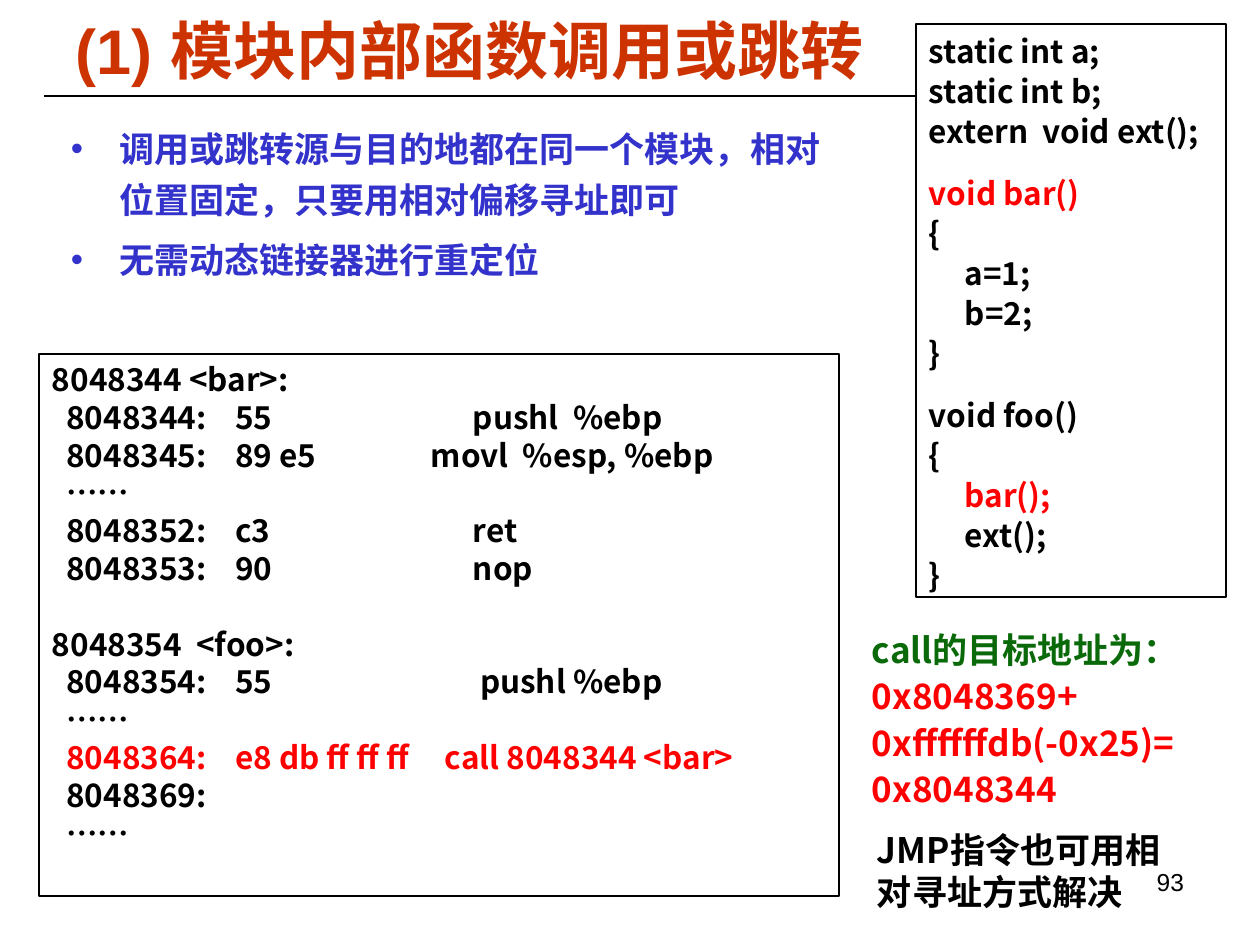
from lxml import etree
from pptx import Presentation
from pptx.dml.color import RGBColor
from pptx.enum.shapes import MSO_CONNECTOR, MSO_SHAPE
from pptx.enum.text import MSO_ANCHOR, MSO_AUTO_SIZE, PP_ALIGN
from pptx.oxml.ns import qn
from pptx.util import Pt

PX = 914400 / 126
BLACK = RGBColor(0x00, 0x00, 0x00)
WHITE = RGBColor(0xFF, 0xFF, 0xFF)
RED = RGBColor(0xFF, 0x00, 0x00)
GREEN = RGBColor(0x0A, 0x6A, 0x0A)
BLUE = RGBColor(0x33, 0x33, 0xCC)
ORANGE = RGBColor(0xCC, 0x33, 0x00)
SANS = "Noto Sans CJK SC"
LEFT, RIGHT = PP_ALIGN.LEFT, PP_ALIGN.RIGHT
TOP, MIDDLE = MSO_ANCHOR.TOP, MSO_ANCHOR.MIDDLE
NO_FIT = MSO_AUTO_SIZE.NONE
STRAIGHT = MSO_CONNECTOR.STRAIGHT
RECTANGLE = MSO_SHAPE.RECTANGLE

BULLETS = [
    "调用或跳转源与目的地都在同一个模块，相对位置固定，只要用相对偏移寻址即可",
    "无需动态链接器进行重定位",
]
SOURCE_CODE = [
    ["static int a;", "static int b;", "extern  void ext();"],
    ["void bar()", "{", "     a=1;", "     b=2;", "}"],
    ["void foo()", "{", "     bar();", "     ext();", "}"],
]
DISASSEMBLY = [
    [
        "8048344 <bar>:",
        "  8048344:    55\t    \t      pushl  %ebp",
        "  8048345:    89 e5                movl  %esp, %ebp",
        "  ……",
        "  8048352:    c3\t\t      ret",
        "  8048353:    90\t\t      nop",
    ],
    [
        "8048354  <foo>:",
        "  8048354:    55\t\t       pushl %ebp",
        "  ……",
        "  8048364:    e8 db ff ff ff     call 8048344 <bar>",
        "  8048369:",
        "  ……",
    ],
]
RED_LINES = {"void bar()", "     bar();", "  8048364:    e8 db ff ff ff     call 8048344 <bar>"}
TARGET = [
    ("call的目标地址为：", GREEN),
    ("0x8048369+", RED),
    ("0xffffffdb(-0x25)=", RED),
    ("0x8048344", RED),
]


def emu(*lengths):
    return [round(length * PX) for length in lengths]


def place(shape, box):
    for name, value in zip(("left", "top", "width", "height"), emu(*box)):
        setattr(shape, name, value)


def prepare_frame(shape, anchor=TOP):
    frame = shape.text_frame
    settings = {
        "word_wrap": True, "auto_size": NO_FIT, "vertical_anchor": anchor,
        "margin_left": emu(13)[0], "margin_right": emu(13)[0],
        "margin_top": emu(6)[0], "margin_bottom": emu(6)[0],
    }
    for name, value in settings.items():
        setattr(frame, name, value)
    return frame


def add_tabs(paragraph):
    tab_list = etree.SubElement(paragraph._p.get_or_add_pPr(), qn("a:tabLst"))
    for inch in range(1, 8):
        etree.SubElement(tab_list, qn("a:tab"), pos=str(inch * 914400), algn="l")


def add_bullet(paragraph, colour):
    properties = paragraph._p.get_or_add_pPr()
    indent = emu(48)[0]
    properties.set("marL", str(indent))
    properties.set("indent", str(-indent))
    bullet_colour = etree.SubElement(properties, qn("a:buClr"))
    etree.SubElement(bullet_colour, qn("a:srgbClr"), val=str(colour))
    etree.SubElement(properties, qn("a:buChar"), char="•")


def write_lines(frame, lines, size, spacing=None, name=SANS, bold=True, align=LEFT,
                decorate=None):
    for index, (text, colour, before) in enumerate(lines):
        paragraph = frame.paragraphs[0] if index == 0 else frame.add_paragraph()
        if decorate:
            decorate(paragraph)
        layout = {"alignment": align, "space_before": Pt(before if index else 0),
                  "line_spacing": Pt(spacing) if spacing else 1.0}
        for key, value in layout.items():
            setattr(paragraph, key, value)
        run = paragraph.add_run()
        run.text = text
        for key, value in {"size": Pt(size), "bold": bold, "name": name}.items():
            setattr(run.font, key, value)
        run.font.color.rgb = colour
        latin = run._r.rPr.find(qn("a:latin"))
        latin.addnext(etree.Element(qn("a:ea"), typeface=SANS))


def add_title(slide, box):
    title = slide.shapes.title
    place(title, box)
    write_lines(prepare_frame(title, MIDDLE), [("(1) 模块内部函数调用或跳转", ORANGE, 0)],
                36, name="Arial")


def add_rule(slide, left, right, y):
    rule = slide.shapes.add_connector(STRAIGHT, *emu(left, y, right, y))
    rule.line.color.rgb = BLACK
    rule.line.width = Pt(0.75)
    etree.SubElement(rule._element.spPr, qn("a:effectLst"))


def add_bullets(slide, box):
    body = slide.placeholders[1]
    place(body, box)
    write_lines(prepare_frame(body), [(text, BLUE, 5) for text in BULLETS], 20, 29.1,
                decorate=lambda paragraph: add_bullet(paragraph, BLUE))


def add_code_box(slide, box, blocks, spacing, gap, fill=None):
    shape = slide.shapes.add_shape(RECTANGLE, *emu(*box))
    shape.shadow.inherit = False
    if fill is None:
        shape.fill.background()
    else:
        shape.fill.solid()
        shape.fill.fore_color.rgb = fill
    shape.line.color.rgb = BLACK
    shape.line.width = Pt(0.75)
    lines = [
        (text, RED if text in RED_LINES else BLACK, 0 if index else gap)
        for block in blocks
        for index, text in enumerate(block)
    ]
    write_lines(prepare_frame(shape), lines, 18, spacing, decorate=add_tabs)


def add_note(slide, box, lines, size, spacing=None, **style):
    note = slide.shapes.add_textbox(*emu(*box))
    write_lines(prepare_frame(note), lines, size, spacing, **style)


def main():
    presentation = Presentation()
    presentation.slide_width, presentation.slide_height = emu(1260, 945)
    slide = presentation.slides.add_slide(presentation.slide_layouts[1])
    add_title(slide, (63, 11, 1134, 77))
    add_rule(slide, 44, 1216, 96)
    add_bullets(slide, (58, 113, 801, 213))
    add_code_box(slide, (916, 24, 310, 573), SOURCE_CODE, 22.86, 12.6, WHITE)
    add_code_box(slide, (39, 354, 800, 542), DISASSEMBLY, 21.6, 21.6)
    add_note(slide, (859, 622, 360, 194), [(*line, 2.5) for line in TARGET], 20, 24.1)
    add_note(slide, (864, 822, 320, 97), [("JMP指令也可用相对寻址方式解决", BLACK, 0)], 20, 24.1)
    add_note(slide, (903, 861, 294, 66), [("93", BLACK, 0)], 14,
             name="Arial", bold=False, align=RIGHT)
    presentation.save("out.pptx")


if __name__ == "__main__":
    main()
